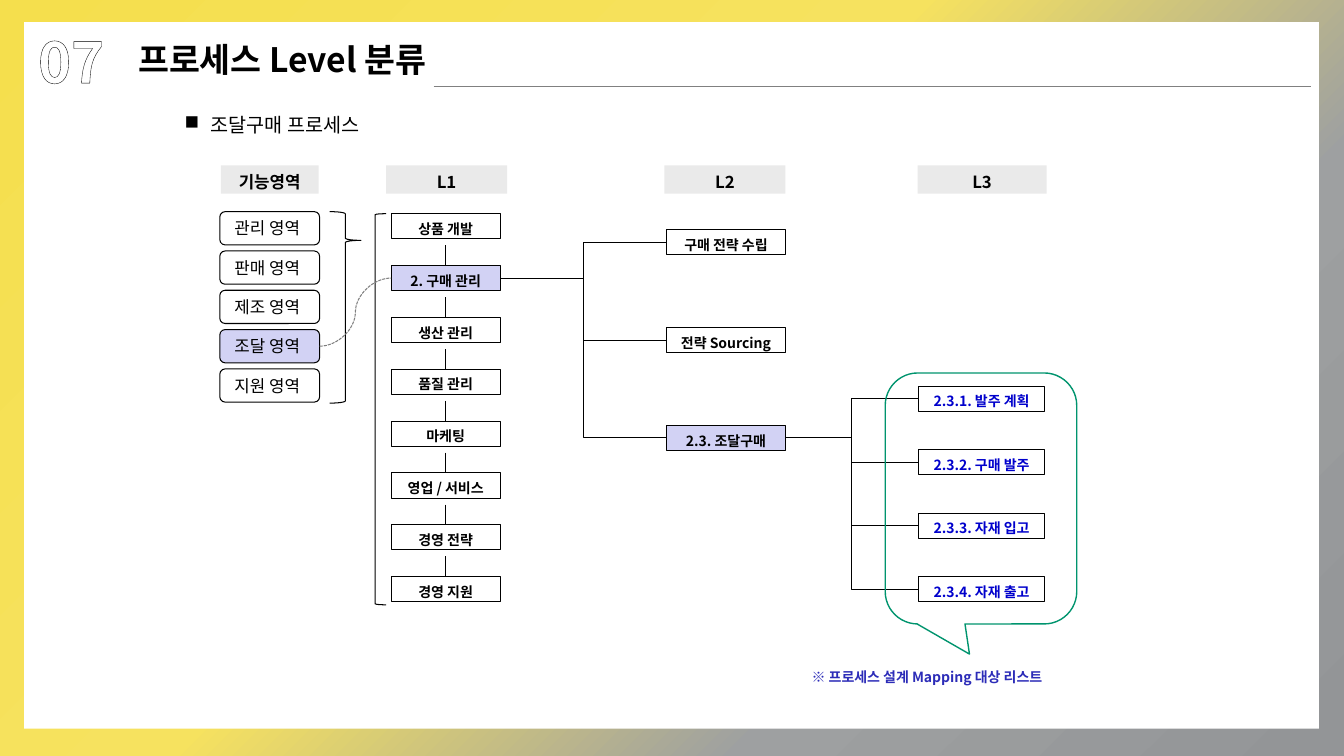
from dataclasses import dataclass

from lxml import etree
from pptx import Presentation
from pptx.dml.color import RGBColor
from pptx.enum import dml, shapes, text
from pptx.oxml import ns
from pptx.util import Inches, Pt


@dataclass(frozen=True)
class Theme:
    font: str = "Noto Sans CJK KR"
    black: str = "000000"
    white: str = "FFFFFF"
    number: str = "3B3838"
    rule: str = "808080"
    dash: str = "7E7E7E"
    header: str = "EAEAEA"
    active: str = "D2D2F4"
    detail: str = "0000CC"
    note: str = "2C2CB8"
    callout: str = "00946E"
    backdrop: tuple = ((0, "F5DF4D"), (44, "F6E25F"), (71, "9EA0A1"), (100, "939597"))
    number_size: int = 40
    title_size: int = 24
    lead_size: int = 14
    label_size: int = 12
    box_size: int = 10


T = Theme()
SHAPE = shapes.MSO_SHAPE
CONNECTOR = shapes.MSO_CONNECTOR
ALIGN = text.PP_ALIGN
ANCHOR = text.MSO_ANCHOR


def rgb(value):
    return RGBColor.from_string(value)


def child(parent, tag, **attrs):
    return etree.SubElement(parent, ns.qn(tag), **attrs)


def place(sp, x, y, w, h):
    sp.left, sp.top, sp.width, sp.height = (Inches(v) for v in (x, y, w, h))


def write(sp, words, size=T.box_size, color=T.black, bold=False, align=ALIGN.LEFT,
          anchor=ANCHOR.TOP, inset=(0, 0, 0, 0), wrap=True):
    tf = sp.text_frame
    tf.auto_size = text.MSO_AUTO_SIZE.NONE
    tf.word_wrap = wrap
    tf.vertical_anchor = anchor
    tf.margin_left, tf.margin_top, tf.margin_right, tf.margin_bottom = (
        Inches(v) for v in inset)
    p = tf.paragraphs[0]
    p.alignment = align
    r = p.add_run()
    r.text = words
    r.font.name = T.font
    r.font.size = Pt(size)
    r.font.bold = bold
    r.font.color.rgb = rgb(color)
    child(r._r.get_or_add_rPr(), "a:ea", typeface=T.font)
    return p


def add_text(s, words, x, y, w, h, **fmt):
    sp = s.shapes.add_textbox(*(Inches(v) for v in (x, y, w, h)))
    return write(sp, words, **fmt)


def add_shape(s, kind, x, y, w, h, fill=None, line=None, weight=0.75, adjust=()):
    sp = s.shapes.add_shape(kind, *(Inches(v) for v in (x, y, w, h)))
    sp.shadow.inherit = False
    if fill:
        sp.fill.solid()
        sp.fill.fore_color.rgb = rgb(fill)
    else:
        sp.fill.background()
    if line:
        sp.line.color.rgb = rgb(line)
        sp.line.width = Pt(weight)
    else:
        sp.line.fill.background()
    for i, value in enumerate(adjust):
        sp.adjustments[i] = value
    return sp


def add_box(s, words, x, y, w, h=0.25, fill=None, line=T.black, **fmt):
    sp = add_shape(s, SHAPE.RECTANGLE, x, y, w, h, fill, line)
    write(sp, words, bold=True, align=ALIGN.CENTER, anchor=ANCHOR.MIDDLE,
          inset=(0, 0.05, 0, 0), wrap=False, **fmt)
    return sp


def add_column(s, labels, x, y, w, step, active=None, **fmt):
    return [add_box(s, label, x, y + i * step, w,
                    fill=T.active if i == active else None, **fmt)
            for i, label in enumerate(labels)]


def add_line(s, kind, x1, y1, x2, y2, color=T.black, weight=0.75):
    c = s.shapes.add_connector(kind, *(Inches(v) for v in (x1, y1, x2, y2)))
    c.line.color.rgb = rgb(color)
    c.line.width = Pt(weight)
    child(c._element.spPr, "a:effectLst")
    return c


def join(s, kind, source, target, color=T.black):
    c = add_line(s, kind, 0, 0, 1, 1, color)
    c.begin_connect(source, 3)
    c.end_connect(target, 1)
    return c


def paint_background(s):
    fill = s.background.fill
    fill.gradient()
    fill.gradient_angle = 315
    stops = s._element.find(".//" + ns.qn("a:gsLst"))
    for stop in list(stops):
        stops.remove(stop)
    for pos, color in T.backdrop:
        child(child(stops, "a:gs", pos=str(pos * 1000)), "a:srgbClr", val=color)


def add_heading(s):
    title = s.shapes.title
    panel = add_shape(s, SHAPE.RECTANGLE, 0.24, 0.22, 12.84, 7.01, T.white)
    title.element.addprevious(panel.element)
    place(title, 1.27, 0.34, 3.39, 0.5)
    write(title, "프로세스 Level 분류", size=T.title_size, bold=True,
          anchor=ANCHOR.MIDDLE, inset=(0.1, 0.05, 0.1, 0.05), wrap=False)
    add_line(s, CONNECTOR.STRAIGHT, 4.3, 0.86, 13, 0.86, T.rule, 1)

    p = add_text(s, "07", 0.28, 0.22, 1.27, 0.77, size=T.number_size, bold=True,
                 inset=(0.1, 0.05, 0.1, 0.05))
    r = p.runs[0]
    r.font.fill.patterned()
    r.font.fill.pattern = dml.MSO_PATTERN.DARK_UPWARD_DIAGONAL
    r.font.fill.fore_color.rgb = rgb(T.number)
    r.font.fill.back_color.rgb = rgb(T.white)
    outline = etree.Element(ns.qn("a:ln"), w=str(Pt(1.25)))
    child(child(outline, "a:solidFill"), "a:srgbClr", val=T.black)
    r._r.get_or_add_rPr().insert(0, outline)

    p = add_text(s, "조달구매 프로세스", 1.81, 1.12, 1.92, 0.25, size=T.lead_size)
    pPr = p._p.get_or_add_pPr()
    pPr.set("marL", str(Inches(0.28)))
    pPr.set("indent", str(Inches(-0.26)))
    child(pPr, "a:buChar", char="■")


def add_areas(s, labels, active):
    areas = []
    for i, label in enumerate(labels):
        sp = add_shape(s, SHAPE.ROUNDED_RECTANGLE, 2.18, 2.1 + 0.39 * i, 0.99, 0.33,
                       T.active if i == active else None, T.black, adjust=(0.16,))
        write(sp, label, size=T.label_size, anchor=ANCHOR.MIDDLE, inset=(0.13, 0, 0, 0))
        areas.append(sp)
    return areas


def main():
    prs = Presentation()
    prs.slide_width, prs.slide_height = Inches(13.33), Inches(7.5)
    s = prs.slides.add_slide(prs.slide_layouts[5])
    paint_background(s)
    add_heading(s)

    for label, x, w in (("기능영역", 2.19, 0.97), ("L1", 3.83, 1.2),
                        ("L2", 6.59, 1.2), ("L3", 9.1, 1.28)):
        add_box(s, label, x, 1.64, w, 0.28, T.header, None, size=T.label_size)

    areas = add_areas(s, ("관리 영역", "판매 영역", "제조 영역", "조달 영역", "지원 영역"), 3)
    add_shape(s, SHAPE.RIGHT_BRACE, 3.27, 2.1, 0.31, 1.9, line=T.black, adjust=(0.07, 0.15))
    add_shape(s, SHAPE.LEFT_BRACKET, 3.72, 2.12, 0.11, 3.88, line=T.black, adjust=(0.09,))

    level1 = add_column(s, ("상품 개발", "2. 구매 관리", "생산 관리", "품질 관리", "마케팅",
                            "영업 / 서비스", "경영 전략", "경영 지원"),
                        3.88, 2.12, 1.08, 3.6 / 7, active=1)
    level2 = add_column(s, ("구매 전략 수립", "전략 Sourcing", "2.3. 조달구매"),
                        6.61, 2.28, 1.18, 0.97, active=2)
    level3 = add_column(s, ("2.3.1. 발주 계획", "2.3.2. 구매 발주", "2.3.3. 자재 입고",
                            "2.3.4. 자재 출고"),
                        9.11, 3.83, 1.25, 0.63, color=T.detail)

    for box in level1[1:]:
        top = box.top / Inches(1)
        add_line(s, CONNECTOR.STRAIGHT, 4.42, top - 0.2, 4.42, top).end_connect(box, 0)
    for source, targets in ((level1[1], level2), (level2[2], level3)):
        for target in targets:
            join(s, CONNECTOR.ELBOW, source, target)
    link = join(s, CONNECTOR.CURVE, areas[3], level1[1], T.dash)
    link.line.dash_style = dml.MSO_LINE.SQUARE_DOT

    add_shape(s, SHAPE.ROUNDED_RECTANGULAR_CALLOUT, 8.78, 3.7, 1.9, 2.49,
              line=T.callout, weight=1, adjust=(-0.06, 0.62, 0.17))
    add_text(s, "※ 프로세스 설계 Mapping 대상 리스트", 8.05, 6.63, 2.5, 0.18,
             color=T.note, bold=True)
    prs.save("out.pptx")


if __name__ == "__main__":
    main()
